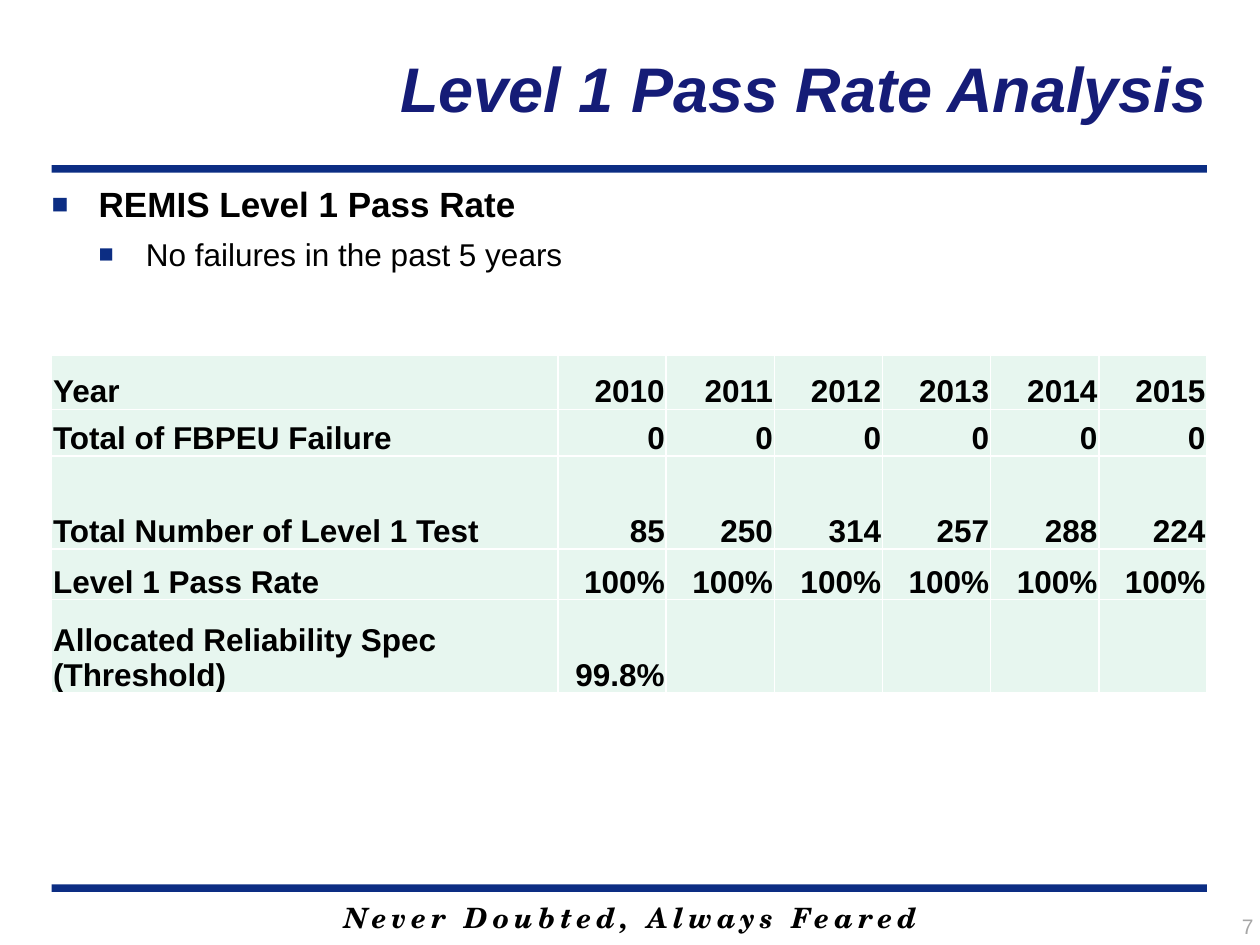
import dataclasses

import pptx
import pptx.dml.color
import pptx.enum.shapes
import pptx.enum.text
import pptx.oxml.ns
import pptx.util
from lxml import etree

Cm = pptx.util.Cm
Pt = pptx.util.Pt
Align = pptx.enum.text.PP_ALIGN
Anchor = pptx.enum.text.MSO_ANCHOR


@dataclasses.dataclass(frozen=True)
class Theme:
    font: str = "Arial"
    motto_font: str = "TeX Gyre Schola"
    navy: str = "0C2D83"
    title_color: str = "151C77"
    text_color: str = "000000"
    muted: str = "A6A6A6"
    cell_fill: str = "E7F6EF"
    border: str = "FFFFFF"
    title_size: int = 36
    heading_size: int = 20
    text_size: int = 18
    motto_size: int = 16
    number_size: int = 12


THEME = Theme()
LEFT = Cm(1.04)
BODY_WIDTH = Cm(23.32)
ROWS = [
    ("Year", "2010", "2011", "2012", "2013", "2014", "2015"),
    ("Total of FBPEU Failure",) + ("0",) * 6,
    ("Total Number of Level 1 Test", "85", "250", "314", "257", "288", "224"),
    ("Level 1 Pass Rate",) + ("100%",) * 6,
    ("Allocated Reliability Spec (Threshold)", "99.8%", "", "", "", "", ""),
]
ROW_HEIGHTS = [1.09, 0.94, 1.88, 1.02, 1.88]
LABEL_WIDTH = Cm(10.21)
YEAR_WIDTH = Cm(2.18)


def rgb(color):
    return pptx.dml.color.RGBColor.from_string(color)


def add_node(parent, tag, **attributes):
    return etree.SubElement(parent, pptx.oxml.ns.qn(tag), attributes)


def style(paragraph, size, color=THEME.text_color, font=THEME.font, bold=False, italic=False):
    for span in paragraph.runs:
        span.font.name = font
        span.font.size = Pt(size)
        span.font.bold = bold
        span.font.italic = italic
        span.font.color.rgb = rgb(color)


def add_text(page, place, text, align, anchor, margin=0):
    frame = page.shapes.add_textbox(*place).text_frame
    frame.word_wrap = True
    frame.vertical_anchor = anchor
    frame.margin_left = frame.margin_right = Cm(margin)
    frame.margin_top = frame.margin_bottom = Cm(margin)
    frame.text = text
    for paragraph in frame.paragraphs:
        paragraph.alignment = align
    return frame.paragraphs


def add_rule(page, top):
    bar = page.shapes.add_shape(
        pptx.enum.shapes.MSO_SHAPE.RECTANGLE, LEFT, top, Cm(23.29), Cm(0.15))
    bar.shadow.inherit = False
    bar.fill.solid()
    bar.fill.fore_color.rgb = rgb(THEME.navy)
    bar.line.fill.background()


def add_bullet(paragraph, level):
    indent = Cm(0.95)
    paragraph.level = level
    properties = paragraph._p.get_or_add_pPr()
    properties.set("marL", str(indent * (level + 1)))
    properties.set("indent", str(-indent))
    add_node(add_node(properties, "a:buClr"), "a:srgbClr", val=THEME.navy)
    add_node(properties, "a:buSzPct", val="80000")
    add_node(properties, "a:buFont", typeface=THEME.font)
    add_node(properties, "a:buChar", char="■")


def add_body(page):
    heading, detail = add_text(
        page, (LEFT, Cm(3.68), BODY_WIDTH, Cm(13.89)),
        "REMIS Level 1 Pass Rate\nNo failures in the past 5 years",
        Align.LEFT, Anchor.TOP)
    for level, paragraph in enumerate((heading, detail)):
        add_bullet(paragraph, level)
    style(heading, THEME.heading_size, bold=True)
    style(detail, THEME.text_size)
    detail.space_before = Pt(6)


def fill_cell(cell, text, align):
    cell.margin_left = cell.margin_right = cell.margin_top = Cm(0.03)
    cell.margin_bottom = 0
    cell.vertical_anchor = Anchor.BOTTOM
    properties = cell._tc.get_or_add_tcPr()
    for side in ("a:lnL", "a:lnR", "a:lnT", "a:lnB"):
        line = add_node(properties, side, w=str(Pt(1)))
        add_node(add_node(line, "a:solidFill"), "a:srgbClr", val=THEME.border)
    cell.fill.solid()
    cell.fill.fore_color.rgb = rgb(THEME.cell_fill)
    cell.text = text
    paragraph = cell.text_frame.paragraphs[0]
    paragraph.alignment = align
    style(paragraph, THEME.text_size, bold=True)


def add_results(page):
    table = page.shapes.add_table(
        len(ROWS), len(ROWS[0]), LEFT, Cm(7.16), BODY_WIDTH, Cm(sum(ROW_HEIGHTS))).table
    table.first_row = table.horz_banding = False
    for index, column in enumerate(table.columns):
        column.width = YEAR_WIDTH if index else LABEL_WIDTH
    for row, height, values in zip(table.rows, ROW_HEIGHTS, ROWS):
        row.height = Cm(height)
        for index, (cell, value) in enumerate(zip(row.cells, values)):
            fill_cell(cell, value, Align.RIGHT if index else Align.LEFT)


def add_title(page):
    title = add_text(page, (Cm(3.25), Cm(0.2), Cm(21.08), Cm(3.12)),
                     "Level 1 Pass Rate Analysis", Align.RIGHT, Anchor.MIDDLE)[0]
    style(title, THEME.title_size, THEME.title_color, bold=True, italic=True)


def add_footer(page):
    motto = add_text(page, (Cm(3.61), Cm(18.03), Cm(18.21), Cm(0.94)),
                     "Never Doubted, Always Feared", Align.CENTER, Anchor.MIDDLE, 0.13)[0]
    style(motto, THEME.motto_size, font=THEME.motto_font, bold=True, italic=True)
    motto.runs[0].font._element.set("spc", "300")
    number = add_text(page, (Cm(24.51), Cm(18.29), Cm(0.89), Cm(0.76)),
                      "7", Align.RIGHT, Anchor.BOTTOM, 0.13)[0]
    style(number, THEME.number_size, THEME.muted)


def main():
    deck = pptx.Presentation()
    deck.slide_width = Cm(25.4)
    deck.slide_height = Cm(19.05)
    page = deck.slides.add_slide(deck.slide_layouts[6])
    for top in (Cm(3.33), Cm(17.83)):
        add_rule(page, top)
    add_title(page)
    add_body(page)
    add_results(page)
    add_footer(page)
    deck.save("out.pptx")


if __name__ == "__main__":
    main()
